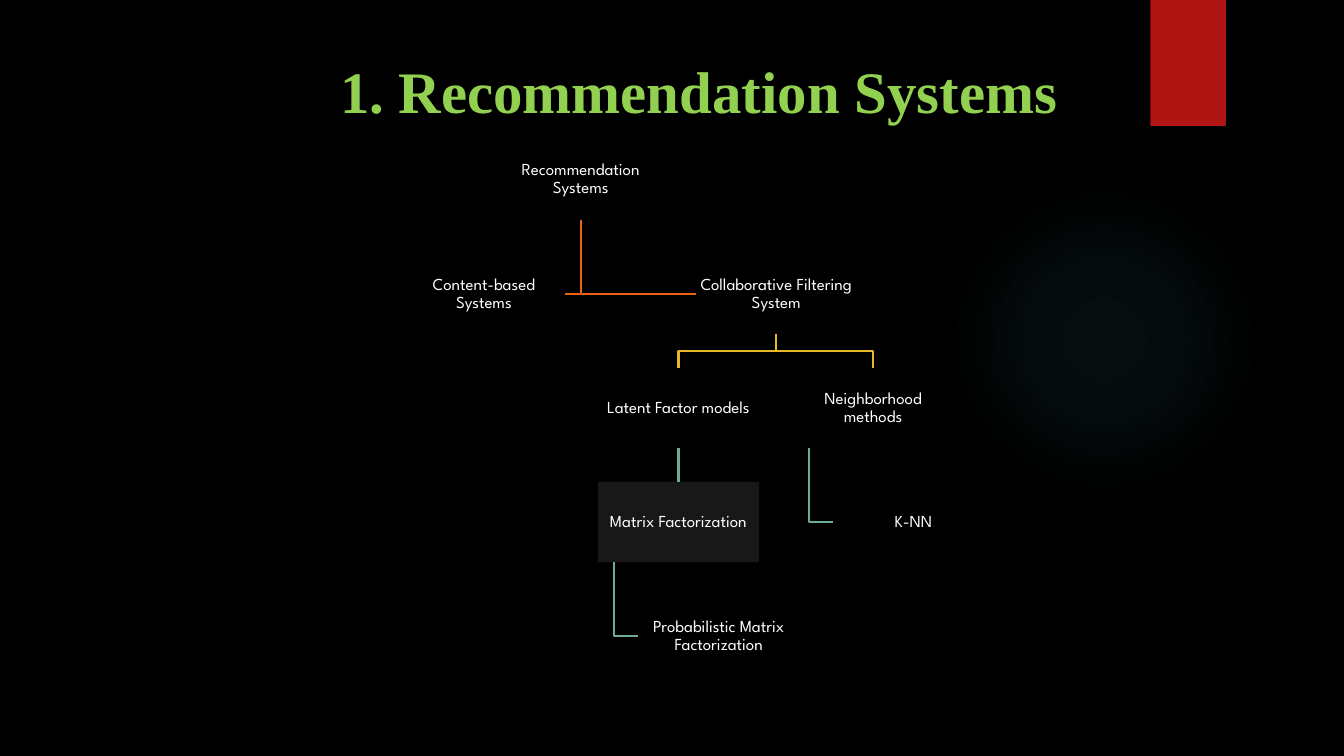
from lxml import etree
from pptx import Presentation
from pptx.dml.color import RGBColor
from pptx.enum.shapes import MSO_CONNECTOR, MSO_SHAPE
from pptx.enum.text import MSO_ANCHOR, PP_ALIGN
from pptx.oxml import parse_xml
from pptx.oxml.ns import nsdecls, qn
from pptx.util import Inches, Pt

RECT, OVAL = MSO_SHAPE.RECTANGLE, MSO_SHAPE.OVAL
STRAIGHT = MSO_CONNECTOR.STRAIGHT
CENTER = PP_ALIGN.CENTER
TOP, MIDDLE = MSO_ANCHOR.TOP, MSO_ANCHOR.MIDDLE

BLACK, WHITE, PANEL = "000000", "FFFFFF", "181818"
RED, LIME, TEAL = "B01513", "92D050", "50B9C1"
ORANGE, YELLOW, GREEN = "EA6312", "E6B729", "6AAC90"

NODE_W, NODE_H = Inches(1.6), Inches(0.8)
FIRST_ROW, ROW_STEP = 1.38, 3.4 / 3
HANG_INDENT = Inches(0.16)

# key: (text, left, row, fill)
NODES = {
    "root": ("Recommendation Systems", 4.96, 0, BLACK),
    "content": ("Content-based Systems", 4.0, 1, BLACK),
    "collab": ("Collaborative Filtering System", 6.9, 1, BLACK),
    "latent": ("Latent Factor models", 5.93, 2, BLACK),
    "matrix": ("Matrix Factorization", 5.93, 3, PANEL),
    "pmf": ("Probabilistic Matrix Factorization", 6.33, 4, BLACK),
    "neighbor": ("Neighborhood methods", 7.86, 2, BLACK),
    "knn": ("K-NN", 8.26, 3, BLACK),
}


def rgb(color):
    return RGBColor.from_string(color)


def set_text(shape, text, size, font, color, bold=False, anchor=MIDDLE,
             inset=0.01, spacing=1.0):
    tf = shape.text_frame
    tf.word_wrap = True
    tf.vertical_anchor = anchor
    tf.margin_left = tf.margin_right = Inches(inset)
    tf.margin_top = tf.margin_bottom = Inches(inset)
    p = tf.paragraphs[0]
    p.alignment = CENTER
    p.line_spacing = spacing
    r = p.add_run()
    r.text = text
    r.font.size, r.font.name, r.font.bold = Pt(size), font, bold
    r.font.color.rgb = rgb(color)


def add_block(slide, kind, left, top, width, height, fill):
    sp = slide.shapes.add_shape(kind, left, top, width, height)
    sp.shadow.inherit = False
    sp.fill.solid()
    sp.fill.fore_color.rgb = rgb(fill)
    sp.line.fill.background()
    return sp


def add_glow(slide):
    """Add the faint circle that fades out from its centre."""
    size = Inches(3.08)
    sp = add_block(slide, OVAL, Inches(9.41), Inches(1.83), size, size, TEAL)
    stops = "".join(
        f'<a:gs pos="{pos * 1000}"><a:srgbClr val="{TEAL}">'
        f'<a:alpha val="{alpha * 1000}"/></a:srgbClr></a:gs>'
        for pos, alpha in ((0, 7), (36, 6), (69, 0)))
    gradient = parse_xml(
        f'<a:gradFill {nsdecls("a")}><a:gsLst>{stops}</a:gsLst>'
        '<a:path path="circle"><a:fillToRect l="50000" t="50000" '
        'r="50000" b="50000"/></a:path></a:gradFill>')
    sp_pr = sp.element.spPr
    sp_pr.replace(sp_pr.find(qn("a:solidFill")), gradient)


def add_node(slide, text, left, row, fill):
    top = Inches(FIRST_ROW + row * ROW_STEP)
    sp = add_block(slide, RECT, Inches(left), top, NODE_W, NODE_H, fill)
    set_text(sp, text, 12, "League Spartan", WHITE, spacing=0.9)
    return sp


def style_line(line, color):
    line.color.rgb = rgb(color)
    line.width = Pt(1.5)


def add_elbow(slide, points, color):
    builder = slide.shapes.build_freeform(*points[0])
    builder.add_line_segments(points[1:], close=False)
    sp = builder.convert_to_shape()
    sp.shadow.inherit = False
    sp.fill.background()
    style_line(sp.line, color)


def link_side(slide, parent, child, x, color):
    """Drop from the parent at x, then turn to the child's nearer side."""
    y = child.top + NODE_H // 2
    end = child.left if child.left > x else child.left + NODE_W
    add_elbow(slide, [(x, parent.top + NODE_H), (x, y), (end, y)], color)


def link_top(slide, parent, child, color):
    """Step from the parent's bottom to the child's top."""
    x1, x2 = parent.left + NODE_W // 2, child.left + NODE_W // 2
    y1, y2 = parent.top + NODE_H, child.top
    mid = (y1 + y2) // 2
    add_elbow(slide, [(x1, y1), (x1, mid), (x2, mid), (x2, y2)], color)


def link_straight(slide, parent, child, color):
    line = slide.shapes.add_connector(STRAIGHT, 0, 0, 0, 0)
    line.begin_connect(parent, 2)
    line.end_connect(child, 0)
    style_line(line.line, color)
    etree.SubElement(line.element.spPr, qn("a:effectLst"))


def add_title(slide, text):
    title = slide.shapes.title
    title.left, title.top = Inches(1.68), Inches(0.49)
    title.width, title.height = Inches(10.5), Inches(1.15)
    set_text(title, text, 42, "Times New Roman", LIME, bold=True,
             anchor=TOP, inset=0.05)


def main():
    prs = Presentation()
    prs.slide_width, prs.slide_height = Inches(13.33), Inches(7.5)
    slide = prs.slides.add_slide(prs.slide_layouts[5])
    slide.background.fill.solid()
    slide.background.fill.fore_color.rgb = rgb(BLACK)

    add_glow(slide)
    add_block(slide, RECT, Inches(11.41), 0, Inches(0.75), Inches(1.25), RED)
    add_title(slide, "1. Recommendation Systems")

    nodes = {key: add_node(slide, *spec) for key, spec in NODES.items()}
    root, collab = nodes["root"], nodes["collab"]
    for key in ("content", "collab"):
        link_side(slide, root, nodes[key], root.left + NODE_W // 2, ORANGE)
    for key in ("latent", "neighbor"):
        link_top(slide, collab, nodes[key], YELLOW)
    link_straight(slide, nodes["latent"], nodes["matrix"], GREEN)
    for parent, child in (("matrix", "pmf"), ("neighbor", "knn")):
        x = nodes[parent].left + HANG_INDENT
        link_side(slide, nodes[parent], nodes[child], x, GREEN)

    prs.save("out.pptx")


if __name__ == "__main__":
    main()
